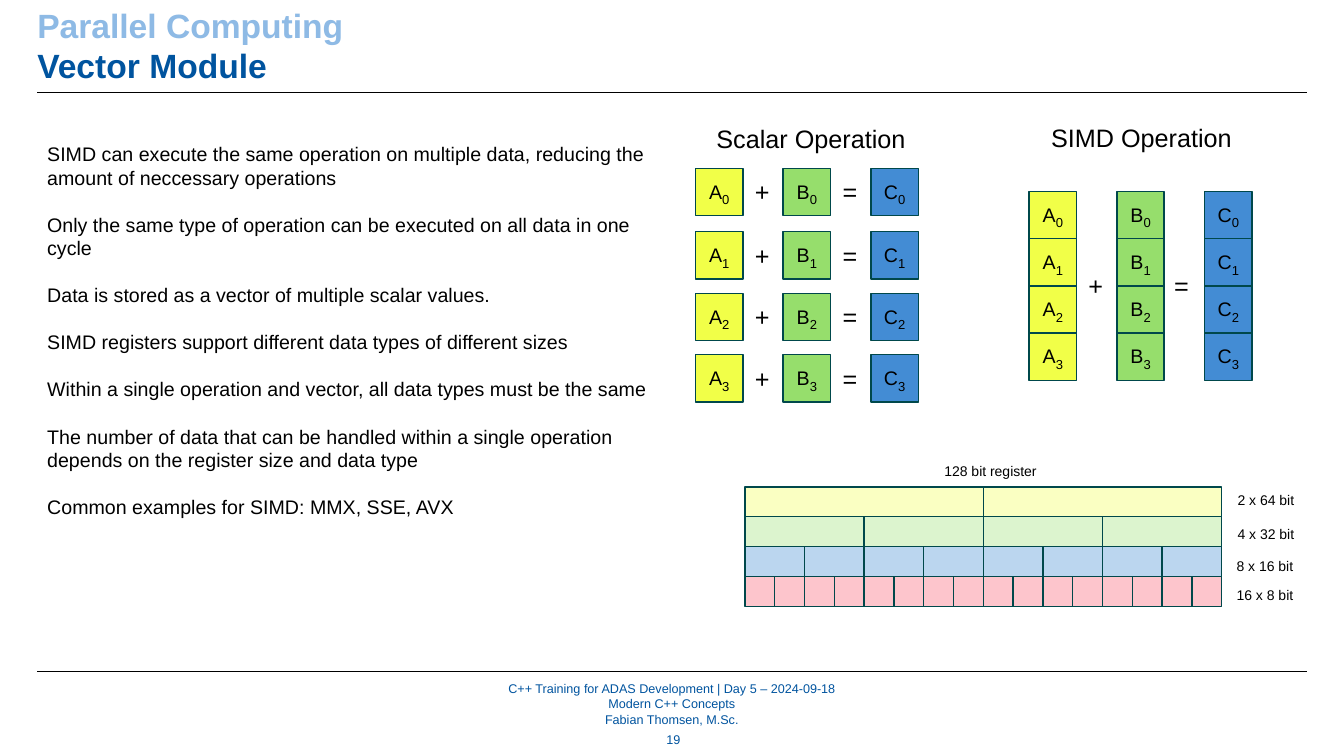
from dataclasses import dataclass

from lxml import etree
from pptx import Presentation
from pptx.dml.color import RGBColor
from pptx.enum.shapes import MSO_CONNECTOR, MSO_SHAPE
from pptx.enum.text import MSO_ANCHOR, PP_ALIGN
from pptx.oxml.ns import qn
from pptx.util import Pt

RECTANGLE = MSO_SHAPE.RECTANGLE
STRAIGHT = MSO_CONNECTOR.STRAIGHT
MIDDLE, TOP = MSO_ANCHOR.MIDDLE, MSO_ANCHOR.TOP
LEFT, CENTER = PP_ALIGN.LEFT, PP_ALIGN.CENTER

FONT = "Arial"
BLACK, NAVY, SKY, TEAL = "000000", "00549F", "8EBAE5", "00484B"


@dataclass
class TextBlock:
    lines: list[str]
    left: float
    top: float
    width: float
    height: float
    size: float
    color: str = BLACK
    align: PP_ALIGN = LEFT
    anchor: MSO_ANCHOR = TOP
    wrap: bool = False
    inset: bool = True
    line_pitch: float | None = None
    gap: float = 0


@dataclass
class Vector:
    letter: str
    fill: str


@dataclass
class Operation:
    heading: TextBlock
    left: float
    row_tops: list[float]
    sign_tops: list[float]
    equals_offset: float


@dataclass
class RegisterRow:
    label: str
    lanes: int
    fill: str
    label_left: float
    label_top: float


ELEMENT = 33.84       # side of one vector element
VECTOR_PITCH = 62.65  # distance between vectors A, B and C
PLUS_OFFSET = 35.28
SIGN_DROP = 2.3

VECTORS = [Vector("A", "F1FF48"), Vector("B", "96DE6C"), Vector("C", "438CD4")]
SCALAR_TOPS = [120.24, 165.6, 209.52, 253.44]
OPERATIONS = [
    Operation(TextBlock(["Scalar Operation"], 504.72, 84.24, 151.2, 28.8, 18),
              496.8, SCALAR_TOPS, [top + SIGN_DROP for top in SCALAR_TOPS], 97.92),
    Operation(TextBlock(["SIMD Operation"], 743.76, 83.52, 144.72, 28.8, 18),
              735.12, [136.8 + 33.7 * row for row in range(4)], [189.36], 96.48),
]

REGISTER_LEFT, REGISTER_TOP = 532.08, 347.76
REGISTER_WIDTH, REGISTER_ROW = 340.56, 21.36
REGISTER_ROWS = [
    RegisterRow("2 x 64 bit", 2, "FAFFC2", 876.96, 347.76),
    RegisterRow("4 x 32 bit", 4, "DCF4CE", 876.96, 371.52),
    RegisterRow("8 x 16 bit", 8, "BBD6EF", 876.24, 394.56),
    RegisterRow("16 x 8 bit", 16, "FDC5CC", 876.24, 415.44),
]

TITLE = TextBlock(["Parallel Computing", "Vector Module"], 26.64, 3.6, 907.2, 58.32,
                  24, NAVY, wrap=True, inset=False, line_pitch=28.6)
STATEMENTS = TextBlock([
    "SIMD can execute the same operation on multiple data, reducing the amount of "
    "neccessary operations",
    "Only the same type of operation can be executed on all data in one cycle",
    "Data is stored as a vector of multiple scalar values.",
    "SIMD registers support different data types of different sizes",
    "Within a single operation and vector, all data types must be the same",
    "The number of data that can be handled within a single operation depends on the "
    "register size and data type",
    "Common examples for SIMD: MMX, SSE, AVX",
], 26.64, 97.92, 453.6, 322.56, 14, wrap=True, line_pitch=16.8, gap=16.8)
FOOTER = TextBlock([
    "C++ Training for ADAS Development | Day 5 – 2024-09-18",
    "Modern C++ Concepts",
    "Fabian Thomsen, M.Sc.",
], 246.96, 486, 465.84, 33.12, 9, NAVY, CENTER, MIDDLE, True, False, 11.1)
PAGE_NUMBER = TextBlock(["19"], 462.24, 519.12, 37.44, 18.72, 9, NAVY, CENTER, MIDDLE, True)


def rgb(color: str) -> RGBColor:
    return RGBColor.from_string(color)


def style(font, size: float, color: str, bold: bool = False) -> None:
    font.name, font.size, font.bold = FONT, Pt(size), bold
    font.color.rgb = rgb(color)


def add_text(slide, block: TextBlock):
    box = slide.shapes.add_textbox(Pt(block.left), Pt(block.top),
                                   Pt(block.width), Pt(block.height))
    frame = box.text_frame
    frame.word_wrap = block.wrap
    frame.vertical_anchor = block.anchor
    if not block.inset:
        frame.margin_left = frame.margin_right = frame.margin_top = frame.margin_bottom = 0
    frame.text = "\n".join(block.lines)
    for index, paragraph in enumerate(frame.paragraphs):
        paragraph.alignment = block.align
        if block.line_pitch:
            paragraph.line_spacing = Pt(block.line_pitch)
        if index and block.gap:
            paragraph.space_before = Pt(block.gap)
        style(paragraph.runs[0].font, block.size, block.color)
    return frame


def add_rule(slide, top: float) -> None:
    rule = slide.shapes.add_connector(STRAIGHT, Pt(26.64), Pt(top), Pt(933.84), Pt(top))
    rule.line.color.rgb = rgb(BLACK)
    rule.line.width = Pt(0.5)
    etree.SubElement(rule._element.spPr, qn("a:effectLst"))


def add_cell(slide, left: float, top: float, width: float, height: float, fill: str):
    cell = slide.shapes.add_shape(RECTANGLE, Pt(left), Pt(top), Pt(width), Pt(height))
    cell.shadow.inherit = False
    cell.fill.solid()
    cell.fill.fore_color.rgb = rgb(fill)
    cell.line.color.rgb = rgb(TEAL)
    cell.line.width = Pt(1)
    return cell


def add_element(slide, vector: Vector, index: int, left: float, top: float) -> None:
    frame = add_cell(slide, left, top, ELEMENT, ELEMENT, vector.fill).text_frame
    frame.vertical_anchor = MIDDLE
    paragraph = frame.paragraphs[0]
    paragraph.alignment = CENTER
    for text, size in ((vector.letter, 14), (str(index), 16)):
        run = paragraph.add_run()
        run.text = text
        style(run.font, size, BLACK)
    run.font._element.set("baseline", "-25000")


def add_operation(slide, operation: Operation) -> None:
    add_text(slide, operation.heading)
    for column, vector in enumerate(VECTORS):
        for index, top in enumerate(operation.row_tops):
            add_element(slide, vector, index, operation.left + column * VECTOR_PITCH, top)
    for sign, offset in (("+", PLUS_OFFSET), ("=", operation.equals_offset)):
        for top in operation.sign_tops:
            add_text(slide, TextBlock([sign], operation.left + offset, top, 25.2, 28.8, 18))


def add_register(slide) -> None:
    add_text(slide, TextBlock(["128 bit register"], 667.44, 326.88, 80.64, 19.44, 10))
    for index, row in enumerate(REGISTER_ROWS):
        width = REGISTER_WIDTH / row.lanes
        for lane in range(row.lanes):
            add_cell(slide, REGISTER_LEFT + lane * width, REGISTER_TOP + index * REGISTER_ROW,
                     width, REGISTER_ROW, row.fill)
        add_text(slide, TextBlock([row.label], row.label_left, row.label_top, 55.44, 19.44, 10))


def main() -> None:
    deck = Presentation()
    deck.slide_width, deck.slide_height = Pt(960), Pt(540)
    slide = deck.slides.add_slide(deck.slide_layouts[6])

    # Title, rules and footer
    title = add_text(slide, TITLE)
    for paragraph, color in zip(title.paragraphs, (SKY, NAVY)):
        style(paragraph.runs[0].font, TITLE.size, color, bold=True)
    for top in (66.24, 479.52):
        add_rule(slide, top)
    add_text(slide, FOOTER)
    add_text(slide, PAGE_NUMBER)

    # Statements and diagrams
    add_text(slide, STATEMENTS)
    for operation in OPERATIONS:
        add_operation(slide, operation)
    add_register(slide)

    deck.save("out.pptx")


if __name__ == "__main__":
    main()
